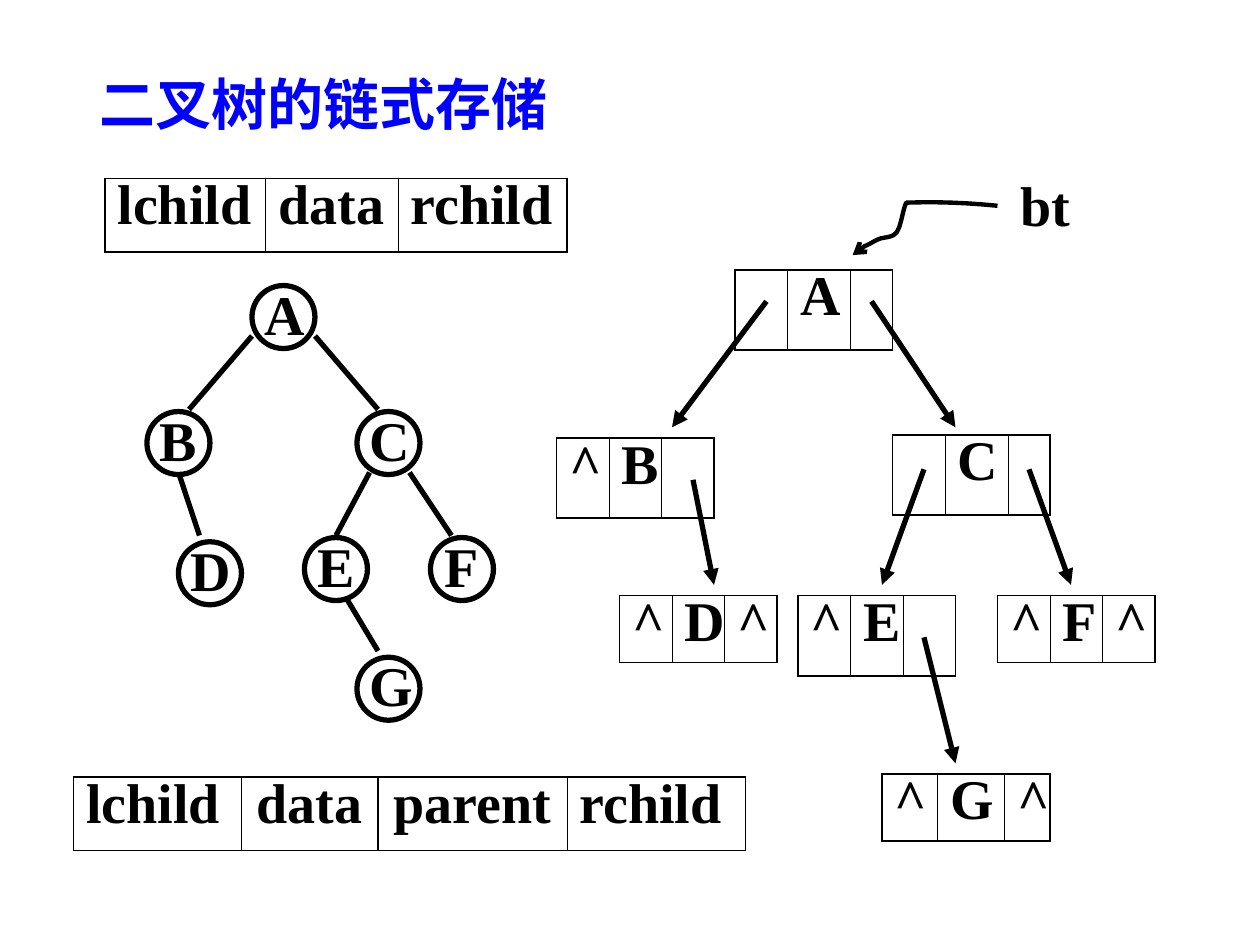
from lxml import etree
from pptx import Presentation
from pptx.dml.color import RGBColor
from pptx.enum.shapes import MSO_CONNECTOR, MSO_SHAPE
from pptx.enum.text import PP_ALIGN
from pptx.oxml.ns import qn
from pptx.util import Inches, Pt

BLACK = RGBColor(0, 0, 0)
BLUE = RGBColor(0, 0, 255)
LEFT, CENTER = PP_ALIGN.LEFT, PP_ALIGN.CENTER
OVAL, STRAIGHT = MSO_SHAPE.OVAL, MSO_CONNECTOR.STRAIGHT
UNIT = Inches(1) // 12  # the slide is a grid of 120 columns by 90 rows
LABEL_ROWS = 7.7
INNER, OUTER = 0.45, 1.08


def write(frame, text, color=BLACK, align=LEFT):
    """Put one bold run in the frame's first paragraph."""
    frame.word_wrap = True
    paragraph = frame.paragraphs[0]
    paragraph.alignment = align
    run = paragraph.add_run()
    run.text = text
    run.font.name = "Times New Roman"
    run.font.size = Pt(32)
    run.font.bold = True
    run.font.color.rgb = color
    return paragraph


def stroke(shape, width=3, arrowhead=None):
    """Draw the outline in black without a shadow, with an arrowhead at its end."""
    shape.line.color.rgb = BLACK
    shape.line.width = Pt(width)
    properties = shape._element.spPr
    if arrowhead:
        etree.SubElement(properties.find(qn("a:ln")), qn("a:tailEnd"), type=arrowhead)
    etree.SubElement(properties, qn("a:effectLst"))


prs = Presentation()
prs.slide_width, prs.slide_height = 120 * UNIT, 90 * UNIT
slide = prs.slides.add_slide(prs.slide_layouts[6])
shapes = slide.shapes

# Title and root pointer label: text, column, row, columns wide, colour
for text, col, row, width, color in [
    ("二叉树的链式存储", 8.3, 6, 105.7, BLUE),
    ("bt", 96, 15.7, 9, BLACK),
]:
    box = shapes.add_textbox(*(int(n * UNIT) for n in (col, row, width, LABEL_ROWS)))
    write(box.text_frame, text, color)

# Binary tree
tree_nodes = {
    "A": (24, 27.2), "B": (14, 39.2), "C": (34, 39.2), "D": (17, 51.6),
    "E": (29, 51.2), "F": (41, 51.2), "G": (34, 62.6),
}
for letter, (col, row) in tree_nodes.items():
    box = shapes.add_textbox(*(int(n * UNIT) for n in (col, row - 1.2, 6, LABEL_ROWS)))
    write(box.text_frame, letter, align=CENTER)
    circle = shapes.add_shape(OVAL, *(int(n * UNIT) for n in (col, row, 6, 6)))
    circle.fill.background()
    stroke(circle)

# Records: column, row, column widths, row height, fields
tall, short, header = 7.65, 6.4, 7
records = [
    (70, 25.7, (5, 6, 4), tall, ("", "A", "")),
    (53, 41.7, (5, 5, 5), tall, ("^", "B", "")),
    (85, 41.4, (5, 6, 4), tall, ("", "C", "")),
    (76, 56.7, (5, 5, 5), tall, ("^", "E", "")),
    (95, 56.7, (5, 5, 5), short, ("^", "F", "^")),
    (84, 73.7, (5.3, 6.4, 4.3), short, ("^", "G", "^")),
    (59, 56.7, (5, 5, 5), short, ("^", "D", "^")),
    (10, 17, (15.3, 12.6, 16.1), header, ("lchild", "data", "rchild")),
    (7, 74, (16, 13, 18, 17), header, ("lchild", "data", "parent", "rchild")),
]
for col, row, widths, height, fields in records:
    area = (int(n * UNIT) for n in (col, row, sum(widths), height))
    table = shapes.add_table(1, len(fields), *area).table
    table.first_row = table.horz_banding = False
    last = len(fields) - 1
    for i, (width, field) in enumerate(zip(widths, fields)):
        table.columns[i].width = int(width * UNIT)
        cell = table.cell(0, i)
        if field:
            align = CENTER if 0 < i < last else LEFT
            write(cell.text_frame, field, align=align).line_spacing = 0.8
        borders = {
            "a:lnL": OUTER if i == 0 else INNER,
            "a:lnR": OUTER if i == last else INNER,
            "a:lnT": OUTER,
            "a:lnB": OUTER,
        }
        if fields[i:i + 2] == ("data", "parent"):
            borders["a:lnR"] = 0.75
        elif field == "parent":
            borders["a:lnL"] = 0.75
        cell_properties = cell._tc.get_or_add_tcPr()
        for side, points in borders.items():
            border = etree.SubElement(cell_properties, qn(side), w=str(Pt(points)))
            fill = etree.SubElement(border, qn("a:solidFill"))
            etree.SubElement(fill, qn("a:srgbClr"), val=str(BLACK))
        cell.fill.background()

# Tree edges and child pointers: from column, row to column, row
edges = [
    (24, 32, 18, 39), (30, 32, 36, 39), (17, 45, 19, 51),
    (35.2, 45, 32, 51), (39, 45, 43, 51), (33, 57, 36, 62),
]
pointers = [
    (73, 28.7, 64, 40.7), (83, 28.7, 91, 40.7), (66, 45.7, 68, 55.7),
    (88, 44.7, 84, 55.7), (98, 44.7, 102, 55.7), (88, 60.7, 91, 72.7),
]
for group, arrowhead in [(edges, None), (pointers, "triangle")]:
    for ends in group:
        line = shapes.add_connector(STRAIGHT, *(int(n * UNIT) for n in ends))
        stroke(line, arrowhead=arrowhead)

# Root pointer: a chain of Bezier curves, each given by two controls and an end
root_start = (95, 19.6)
root_curves = [
    ((92, 19.3), (89.3, 19.2), (86.3, 19.3)),
    ((85.9, 20.2), (85.8, 22.1), (85.1, 22.4)),
    ((84.7, 22.6), (84.4, 22.6), (83.9, 22.7)),
    ((83.3, 22.9), (82.8, 23.3), (82.2, 23.5)),
    ((81.5, 24.1), (81.8, 23.9), (81.2, 24.3)),
]
STEPS = 6
points = [root_start]
for control_1, control_2, end in root_curves:
    start = points[-1]
    for step in range(1, STEPS + 1):
        t = step / STEPS
        points.append(tuple(
            (1 - t) ** 3 * a + 3 * (1 - t) ** 2 * t * b + 3 * (1 - t) * t ** 2 * c + t ** 3 * d
            for a, b, c, d in zip(start, control_1, control_2, end)
        ))
points = [(int(x * UNIT), int(y * UNIT)) for x, y in points]
builder = shapes.build_freeform(*points[0])
builder.add_line_segments(points[1:], close=False)
root_pointer = builder.convert_to_shape()
root_pointer.fill.background()
stroke(root_pointer, 2.5, "arrow")

prs.save("out.pptx")
